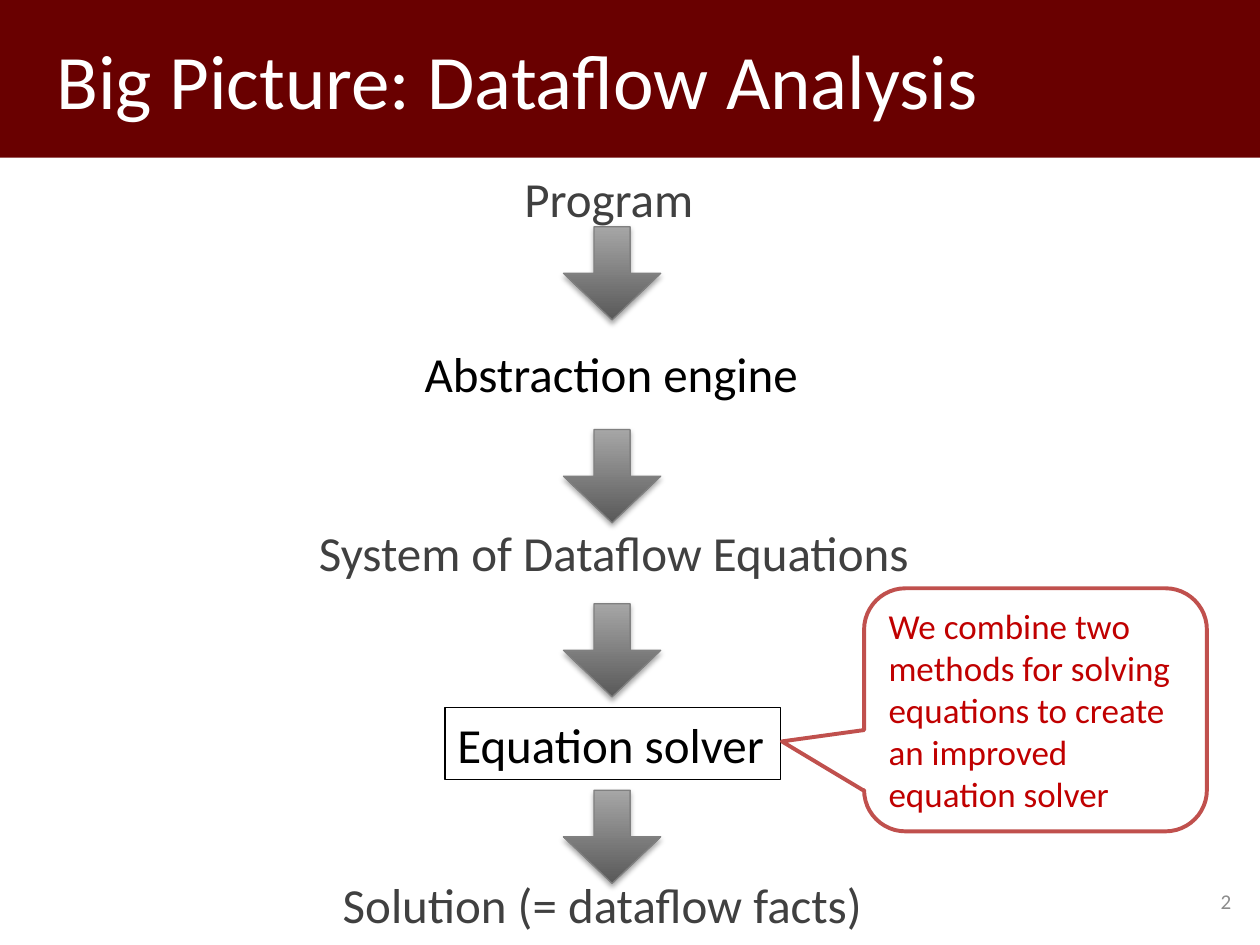
from collections import namedtuple
from dataclasses import dataclass

from lxml import etree
from pptx import Presentation
from pptx.dml.color import RGBColor
from pptx.enum import shapes, text
from pptx.oxml import ns
from pptx import util as u

Box = namedtuple("Box", "left top width height")


@dataclass(frozen=True)
class Theme:
    font: str = "Calibri"
    band: str = "690000"
    white: str = "FFFFFF"
    black: str = "000000"
    muted: str = "404040"
    page: str = "8C8C8C"
    accent: str = "C0504D"
    accent_text: str = "C00000"
    arrow_dark: str = "595959"
    arrow_light: str = "A6A6A6"
    arrow_line: str = "808080"
    title_size: int = 44
    stage_size: int = 28
    callout_size: int = 20
    page_size: int = 12


THEME = Theme()
KINDS = shapes.MSO_SHAPE
MIDDLE = text.MSO_ANCHOR.MIDDLE
FLUSH = dict.fromkeys(("margin_left", "margin_top", "margin_right", "margin_bottom"), 0)


def color(value):
    return RGBColor.from_string(value)


def set_all(target, values):
    for name, value in values.items():
        setattr(target, name, value)


def add_shape(slide, kind, box, fill=None, line=None, line_width=0.75):
    shape = slide.shapes.add_shape(kind, *map(u.Cm, box))
    shape.shadow.inherit = False
    if fill:
        shape.fill.solid()
        shape.fill.fore_color.rgb = color(fill)
    else:
        shape.fill.background()
    if line:
        shape.line.color.rgb = color(line)
        shape.line.width = u.Pt(line_width)
    else:
        shape.line.fill.background()
    return shape


def write(shape, words, size, ink, align=text.PP_ALIGN.LEFT, **frame_format):
    frame = shape.text_frame
    set_all(frame, {"word_wrap": True, "vertical_anchor": text.MSO_ANCHOR.TOP, **frame_format})
    paragraph = frame.paragraphs[0]
    paragraph.alignment = align
    run = paragraph.add_run()
    run.text = words
    set_all(run.font, {"name": THEME.font, "size": u.Pt(size)})
    run.font.color.rgb = color(ink)


def add_label(slide, box, words, size, ink, **format_values):
    label = slide.shapes.add_textbox(*map(u.Cm, box))
    write(label, words, size, ink, **format_values)


def add_title(slide, box, words):
    band = add_shape(slide, KINDS.RECTANGLE, box, fill=THEME.band)
    write(band, words, THEME.title_size, THEME.white,
          vertical_anchor=MIDDLE, margin_left=u.Cm(1.14))


def add_arrow(slide, box):
    arrow = add_shape(slide, KINDS.DOWN_ARROW, box, line=THEME.arrow_line)
    arrow.adjustments[0] = 0.37
    arrow.adjustments[1] = 0.5
    arrow.fill.gradient()
    arrow.fill.gradient_angle = 90
    for stop, value in zip(arrow.fill.gradient_stops, (THEME.arrow_dark, THEME.arrow_light)):
        stop.color.rgb = color(value)
    effects = arrow._element.spPr.find(ns.qn("a:effectLst"))
    shadow = etree.SubElement(effects, ns.qn("a:outerShdw"), blurRad=str(u.Pt(3.1)),
                              dist=str(u.Pt(1.8)), dir="5400000", rotWithShape="0")
    tint = etree.SubElement(shadow, ns.qn("a:srgbClr"), val=THEME.black)
    etree.SubElement(tint, ns.qn("a:alpha"), val="35000")


def add_flow(slide, box):
    def place(left, top, width, height):
        return Box(box.left + left, box.top + top, width, height)

    arrow_width, arrow_height = 1.96, 1.88
    for top in (1.29, 5.38, 8.89, 12.65):
        add_arrow(slide, place(4.93, top, arrow_width, arrow_height))

    data_stages = (
        ("Program", (3.89, 0, 4.22, 1.37), {}),
        ("System of Dataflow Equations", (0, 7.26, 11.94, 1.37), FLUSH),
        ("Solution (= dataflow facts)", (0.48, 14.35, 10.95, 1.37), FLUSH),
    )
    for words, area, margins in data_stages:
        add_label(slide, place(*area), words, THEME.stage_size, THEME.muted, **margins)

    engines = (
        ("Abstraction engine", (1.88, 3.53, 8.13, 1.45), THEME.white, THEME.white, 3),
        ("Equation solver", (2.54, 10.99, 6.76, 1.45), None, THEME.black, 0.75),
    )
    for words, area, fill, line, line_width in engines:
        engine = add_shape(slide, KINDS.RECTANGLE, place(*area), fill, line, line_width)
        write(engine, words, THEME.stage_size, THEME.black, word_wrap=False)


def add_callout(slide, box, words):
    callout = add_shape(slide, KINDS.ROUNDED_RECTANGULAR_CALLOUT, box,
                        line=THEME.accent, line_width=2.25)
    for index, value in enumerate((-0.74, 0.13, 0.17)):
        callout.adjustments[index] = value
    write(callout, words, THEME.callout_size, THEME.accent_text, vertical_anchor=MIDDLE)


def add_page_number(slide, box, number):
    add_label(slide, box, number, THEME.page_size, THEME.page,
              align=text.PP_ALIGN.RIGHT, vertical_anchor=MIDDLE)


def main():
    presentation = Presentation()
    set_all(presentation, {"slide_width": u.Cm(25.4), "slide_height": u.Cm(19.05)})
    slide = presentation.slides.add_slide(presentation.slide_layouts[6])
    add_title(slide, Box(0, 0, 25.4, 3.18), "Big Picture: Dataflow Analysis")
    add_flow(slide, Box(6.43, 3.28, 11.94, 15.72))
    add_callout(slide, Box(17.42, 11.86, 6.91, 4.9),
                "We combine two methods for solving equations "
                "to create an improved equation solver")
    add_page_number(slide, Box(19.15, 17.65, 5.92, 1.02), "2")
    presentation.save("out.pptx")


main()
